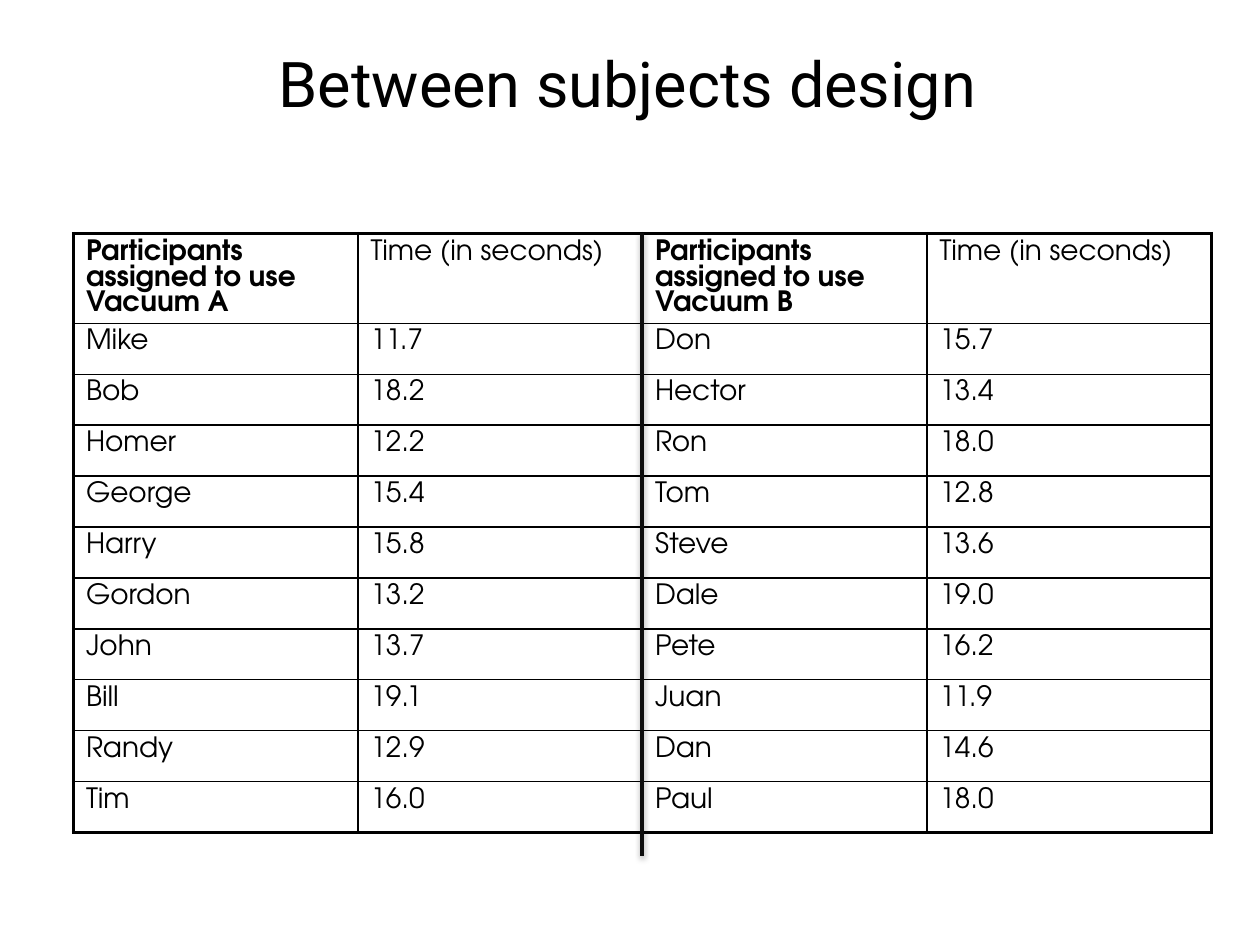
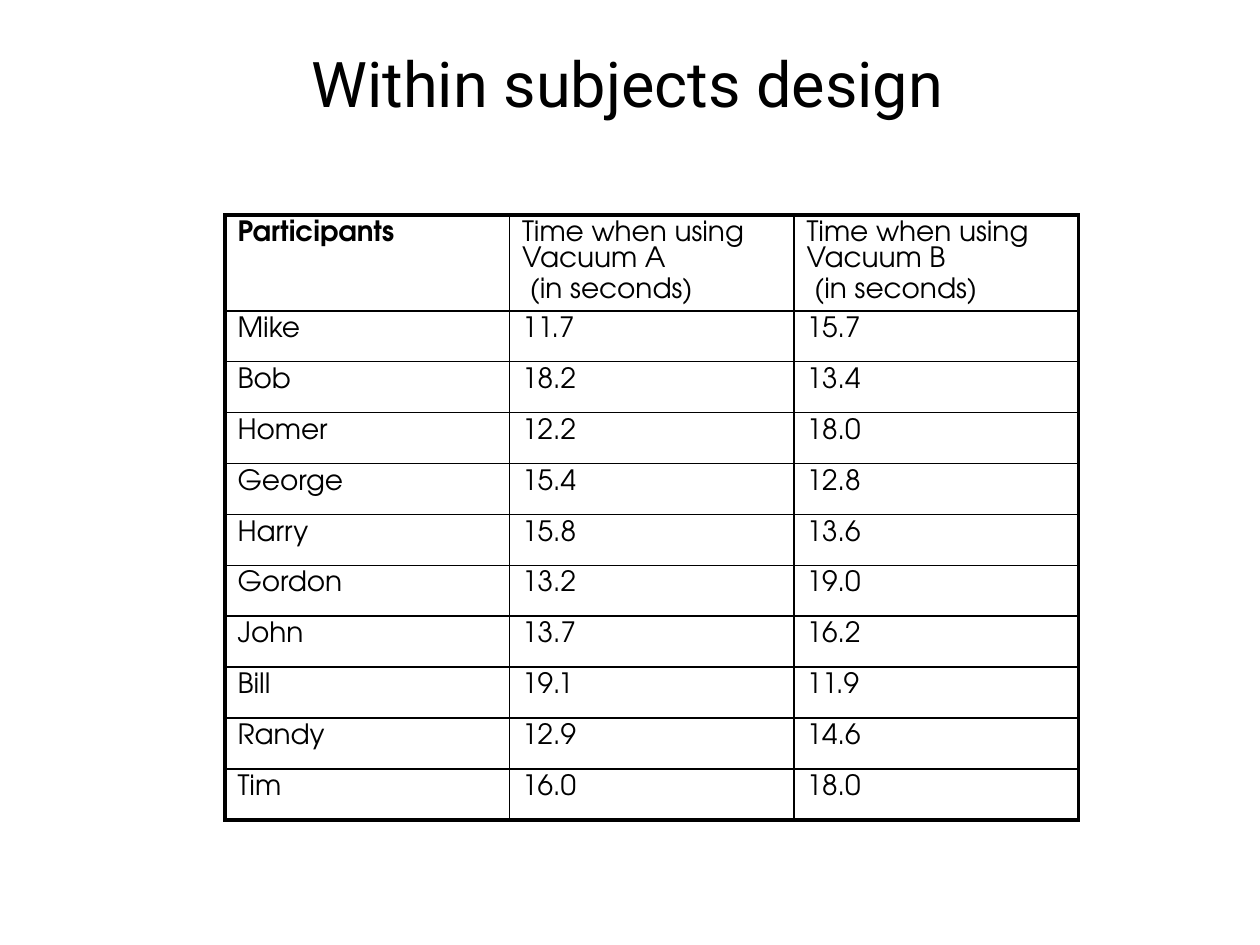
from lxml import etree
from pptx import Presentation
from pptx.dml.color import RGBColor
from pptx.enum.shapes import MSO_CONNECTOR as CONN
from pptx.enum.text import MSO_ANCHOR as ANCHOR, PP_ALIGN as ALIGN
from pptx.oxml import parse_xml
from pptx.oxml.ns import nsdecls, qn
from pptx.util import Emu, Inches, Pt

BLACK = RGBColor(0x00, 0x00, 0x00)
DIVIDER = RGBColor(0x0D, 0x0D, 0x0D)
TITLE_FONT = "Roboto"
TABLE_FONT = "TeX Gyre Adventor"
TABLE_LINE = Pt(14.7)  # line pitch of table text
THIN, THICK = 1, 2.25  # border widths in points

# The grid: 100 columns by 75 rows
COLS, ROWS = 100, 75
COL_W, ROW_H = 22.58, 4.04  # one table column and one body row

NAMES_A = ["Mike", "Bob", "Homer", "George", "Harry",
           "Gordon", "John", "Bill", "Randy", "Tim"]
NAMES_B = ["Don", "Hector", "Ron", "Tom", "Steve",
           "Dale", "Pete", "Juan", "Dan", "Paul"]
TIMES_A = ["11.7", "18.2", "12.2", "15.4", "15.8",
           "13.2", "13.7", "19.1", "12.9", "16.0"]
TIMES_B = ["15.7", "13.4", "18.0", "12.8", "13.6",
           "19.0", "16.2", "11.9", "14.6", "18.0"]


def write(tf, text, font=TABLE_FONT, size=16, bold=False, align=ALIGN.LEFT,
          color=BLACK, line_spacing=TABLE_LINE, later_indent=0.06):
    """Fill a text frame; paragraphs after the first are set in a little."""
    tf.word_wrap = True
    for i, line in enumerate(text.split("\n")):
        p = tf.paragraphs[0] if i == 0 else tf.add_paragraph()
        p.alignment, p.line_spacing = align, line_spacing
        if i:
            p.space_before = Pt(size * 0.2)
            p._p.get_or_add_pPr().set("marL", str(Inches(later_indent)))
        r = p.add_run()
        r.text = line
        r.font.name, r.font.size, r.font.bold = font, Pt(size), bold
        r.font.color.rgb = color


def set_border(cell, side, width):
    ln = etree.SubElement(cell._tc.get_or_add_tcPr(), qn(f"a:ln{side}"),
                          w=str(Pt(width)))
    fill = etree.SubElement(ln, qn("a:solidFill"))
    etree.SubElement(fill, qn("a:srgbClr"), val=str(BLACK))


class Deck:
    def __init__(self):
        self.prs = Presentation()
        self.prs.slide_width, self.prs.slide_height = Inches(10), Inches(7.5)
        self.s = None

    def x(self, cols):
        return Emu(int(self.prs.slide_width * cols / COLS))

    def y(self, rows):
        return Emu(int(self.prs.slide_height * rows / ROWS))

    def slide(self, title):
        self.s = self.prs.slides.add_slide(self.prs.slide_layouts[6])
        sp = self.s.shapes.add_textbox(self.x(3.5), self.y(2.5),
                                       self.x(92.6), self.y(8.1))
        sp.text_frame.vertical_anchor = ANCHOR.MIDDLE
        write(sp.text_frame, title, font=TITLE_FONT, size=36,
              align=ALIGN.CENTER, line_spacing=None)

    def table(self, left, top, header_h, headers, columns):
        """Draw a grid with a thick frame; headers on participants are bold."""
        rows = [headers, *zip(*columns)]
        n_rows, n_cols = len(rows), len(headers)
        tbl = self.s.shapes.add_table(
            n_rows, n_cols, self.x(left), self.y(top), self.x(COL_W * n_cols),
            self.y(header_h + ROW_H * (n_rows - 1))).table
        tbl.first_row = tbl.horz_banding = False
        for column in tbl.columns:
            column.width = self.x(COL_W)
        for i, values in enumerate(rows):
            tbl.rows[i].height = self.y(ROW_H if i else header_h)
            for j, text in enumerate(values):
                cell = tbl.cell(i, j)
                write(cell.text_frame, text,
                      bold=text.startswith("Participants"))
                on_frame = {"L": j == 0, "R": j == n_cols - 1,
                            "T": i == 0, "B": i == n_rows - 1}
                for side, outer in on_frame.items():
                    set_border(cell, side, THICK if outer else THIN)
                cell.fill.background()

    def divider(self, col, top, bottom):
        """Draw a vertical line with a soft shadow below it."""
        sp = self.s.shapes.add_connector(CONN.STRAIGHT, self.x(col),
                                         self.y(top), self.x(col),
                                         self.y(bottom))
        sp.line.color.rgb, sp.line.width = DIVIDER, Pt(2)
        sp._element.spPr.append(parse_xml(
            f'<a:effectLst {nsdecls("a")}><a:outerShdw blurRad="{Pt(3.1)}" '
            f'dist="{Pt(1.6)}" dir="5400000" rotWithShape="0">'
            f'<a:srgbClr val="{BLACK}"><a:alpha val="38000"/></a:srgbClr>'
            f'</a:outerShdw></a:effectLst>'))


def main():
    deck = Deck()

    # Each group uses one vacuum
    deck.slide("Between subjects design")
    group, time = "Participants assigned to use Vacuum ", "Time (in seconds)"
    deck.table(5.83, 18.53, 7.1, [group + "A", time, group + "B", time],
               [NAMES_A, TIMES_A, NAMES_B, TIMES_B])
    deck.divider(50.95, 18.5, 67.9)

    # Everyone uses both vacuums
    deck.slide("Within subjects design")
    times = [f"Time when using Vacuum {v}\n(in seconds)" for v in "AB"]
    deck.table(17.86, 17.07, 7.6, ["Participants", *times],
               [NAMES_A, TIMES_A, TIMES_B])

    deck.prs.save("out.pptx")


if __name__ == "__main__":
    main()
